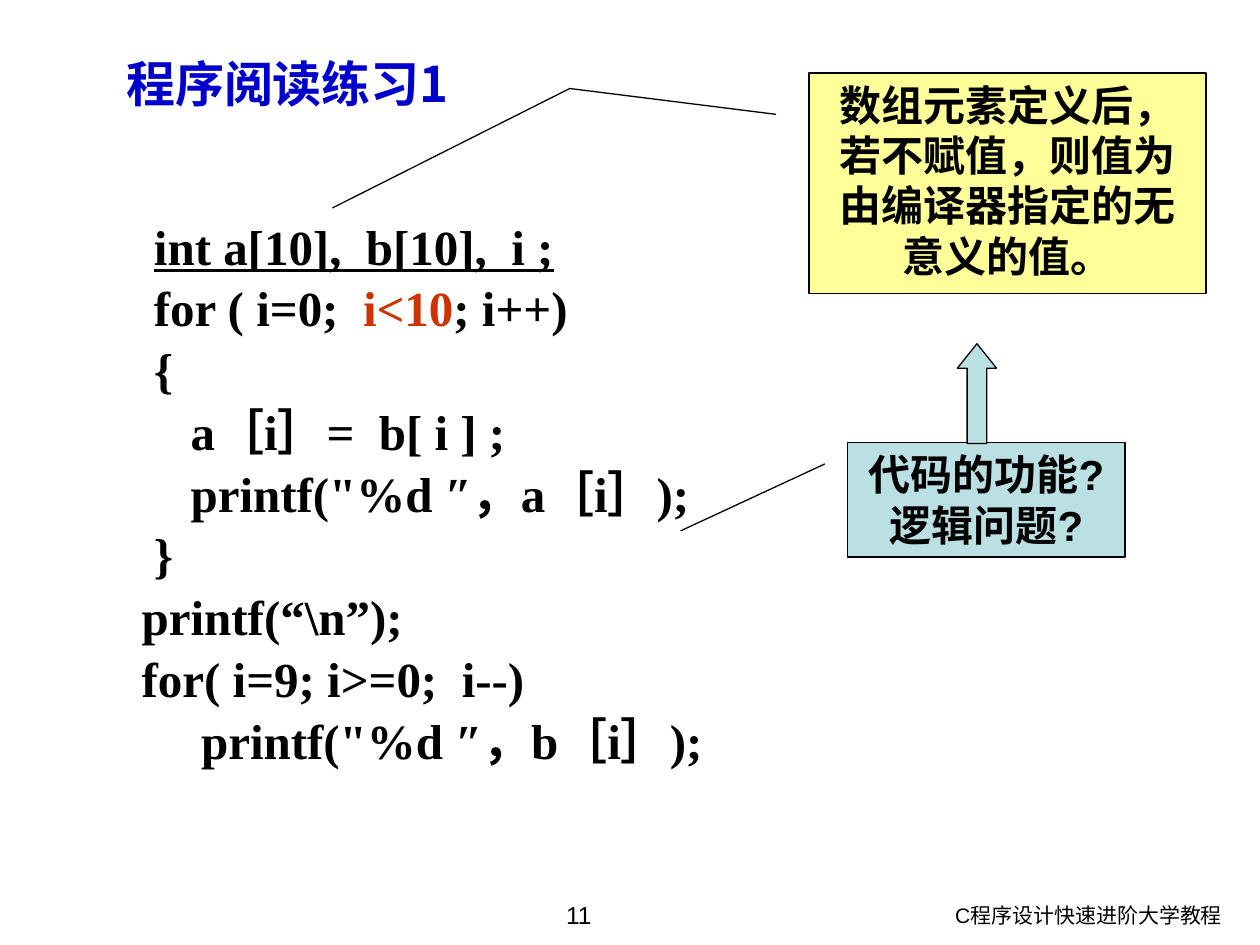
from typing import NamedTuple

from lxml import etree
from pptx import Presentation
from pptx.dml.color import RGBColor
from pptx.enum.shapes import MSO_SHAPE
from pptx.enum.text import MSO_ANCHOR, MSO_AUTO_SIZE, PP_ALIGN
from pptx.oxml.ns import qn
from pptx.util import Cm, Pt

BLACK = RGBColor(0x00, 0x00, 0x00)
BLUE = RGBColor(0x00, 0x00, 0xCC)
RED = RGBColor(0xCC, 0x33, 0x00)
PALE_TEAL = RGBColor(0xBB, 0xE0, 0xE3)
PALE_YELLOW = RGBColor(0xFF, 0xFF, 0x99)

LEFT, CENTER, RIGHT, JUSTIFY = (
    PP_ALIGN.LEFT, PP_ALIGN.CENTER, PP_ALIGN.RIGHT, PP_ALIGN.JUSTIFY)
CALLOUT_1 = MSO_SHAPE.LINE_CALLOUT_1
CALLOUT_2 = MSO_SHAPE.LINE_CALLOUT_2
UP_ARROW = MSO_SHAPE.UP_ARROW
TOP = MSO_ANCHOR.TOP
NO_AUTOFIT = MSO_AUTO_SIZE.NONE

CJK_FONT = "Noto Sans CJK SC"
HANGING_INDENT = Cm(0.95)


class Box(NamedTuple):
    """Left, top, width and height in centimetres."""
    left: float
    top: float
    width: float
    height: float


class Segment(NamedTuple):
    text: str
    color: RGBColor = BLACK
    underline: bool = False


class Marker(NamedTuple):
    kind: MSO_SHAPE
    box: Box
    fill: RGBColor
    adjustments: tuple[float, ...]
    text: str = ""


class Footer(NamedTuple):
    box: Box
    text: str
    size: int
    align: PP_ALIGN


CODE = (
    (Segment("   "), Segment("int a[10],  b[10],  i ;", underline=True)),
    (Segment("   for ( i=0;  "), Segment("i<10", RED), Segment("; i++)")),
    (Segment("   {"),),
    (Segment("      a［i］=  b[ i ] ;"),),
    (Segment('      printf("%d ″，a［i］);'),),
    (Segment("   }"),),
    (Segment("  printf(“\\n”);"),),
    (Segment("  for( i=9; i>=0;  i--)"),),
    (Segment('   \t   printf("%d ″，b［i］);'),),
)
MARKERS = (
    Marker(CALLOUT_1, Box(17.09, 8.92, 5.59, 2.31), PALE_TEAL,
           (0.188, -0.083, 0.772, -0.603), "代码的功能?\n逻辑问题?"),
    Marker(UP_ARROW, Box(19.3, 6.93, 0.79, 2.01), PALE_TEAL, (0.5, 0.625)),
    Marker(CALLOUT_2, Box(16.31, 1.47, 8, 4.45), PALE_YELLOW,
           (0.188, -0.083, 0.071, -0.603, 0.612, -1.201),
           "数组元素定义后，若不赋值，则值为由编译器指定的无意义的值。"),
)
FOOTERS = (
    Footer(Box(16.69, 18.06, 8.2, 0.99), "C程序设计快速进阶大学教程", 12, RIGHT),
    Footer(Box(8.71, 18.01, 5.92, 1.04), "11", 14, CENTER),
)


def lengths(box: Box) -> list[Cm]:
    return [Cm(value) for value in box]


def style_run(run, font_name: str, size: int, color: RGBColor,
              bold: bool = True) -> None:
    font = run.font
    font.name, font.size, font.bold = font_name, Pt(size), bold
    font.color.rgb = color
    east_asian = etree.SubElement(run._r.get_or_add_rPr(), qn("a:ea"))
    east_asian.set("typeface", CJK_FONT)


def fill_frame(frame, text: str, align: PP_ALIGN, font_name: str, size: int,
               color: RGBColor = BLACK, bold: bool = True) -> None:
    frame.text = text
    frame.word_wrap = True
    frame.auto_size = NO_AUTOFIT
    frame.vertical_anchor = TOP
    for paragraph in frame.paragraphs:
        paragraph.alignment = align
        for run in paragraph.runs:
            style_run(run, font_name, size, color, bold)


def place(shape, box: Box) -> None:
    shape.left, shape.top, shape.width, shape.height = lengths(box)


def write_code(frame) -> None:
    frame.text = "\n" * (len(CODE) - 1)
    frame.auto_size = NO_AUTOFIT
    frame.vertical_anchor = TOP
    for paragraph, segments in zip(frame.paragraphs, CODE):
        properties = paragraph._p.get_or_add_pPr()
        properties.set("marL", str(HANGING_INDENT))
        properties.set("indent", str(-HANGING_INDENT))
        etree.SubElement(properties, qn("a:buNone"))
        paragraph.alignment = JUSTIFY
        paragraph.line_spacing = 1.05
        paragraph.space_before = Pt(0)
        for segment in segments:
            run = paragraph.add_run()
            run.text = segment.text
            style_run(run, "Times New Roman", 28, segment.color)
            run.font.underline = segment.underline


def add_marker(slide, marker: Marker) -> None:
    shape = slide.shapes.add_shape(marker.kind, *lengths(marker.box))
    shape.shadow.inherit = False
    shape.fill.solid()
    shape.fill.fore_color.rgb = marker.fill
    shape.line.color.rgb = BLACK
    shape.line.width = Pt(0.75)
    for index, value in enumerate(marker.adjustments):
        shape.adjustments[index] = value
    if marker.text:
        fill_frame(shape.text_frame, marker.text, CENTER, "Arial", 24)


def add_footer(slide, footer: Footer) -> None:
    frame = slide.shapes.add_textbox(*lengths(footer.box)).text_frame
    fill_frame(frame, footer.text, footer.align, "Arial", footer.size,
               bold=False)


def main() -> None:
    presentation = Presentation()
    presentation.slide_width, presentation.slide_height = Cm(25.4), Cm(19.05)
    slide = presentation.slides.add_slide(presentation.slide_layouts[1])
    title, code = slide.placeholders
    place(title, Box(2.29, 0.96, 23.1, 3.2))
    fill_frame(title.text_frame, "程序阅读练习1", LEFT, CJK_FONT, 28, BLUE)
    place(code, Box(2.11, 4.17, 13.77, 11.4))
    write_code(code.text_frame)
    for footer in FOOTERS:
        add_footer(slide, footer)
    for marker in MARKERS:
        add_marker(slide, marker)
    presentation.save("out.pptx")


if __name__ == "__main__":
    main()
